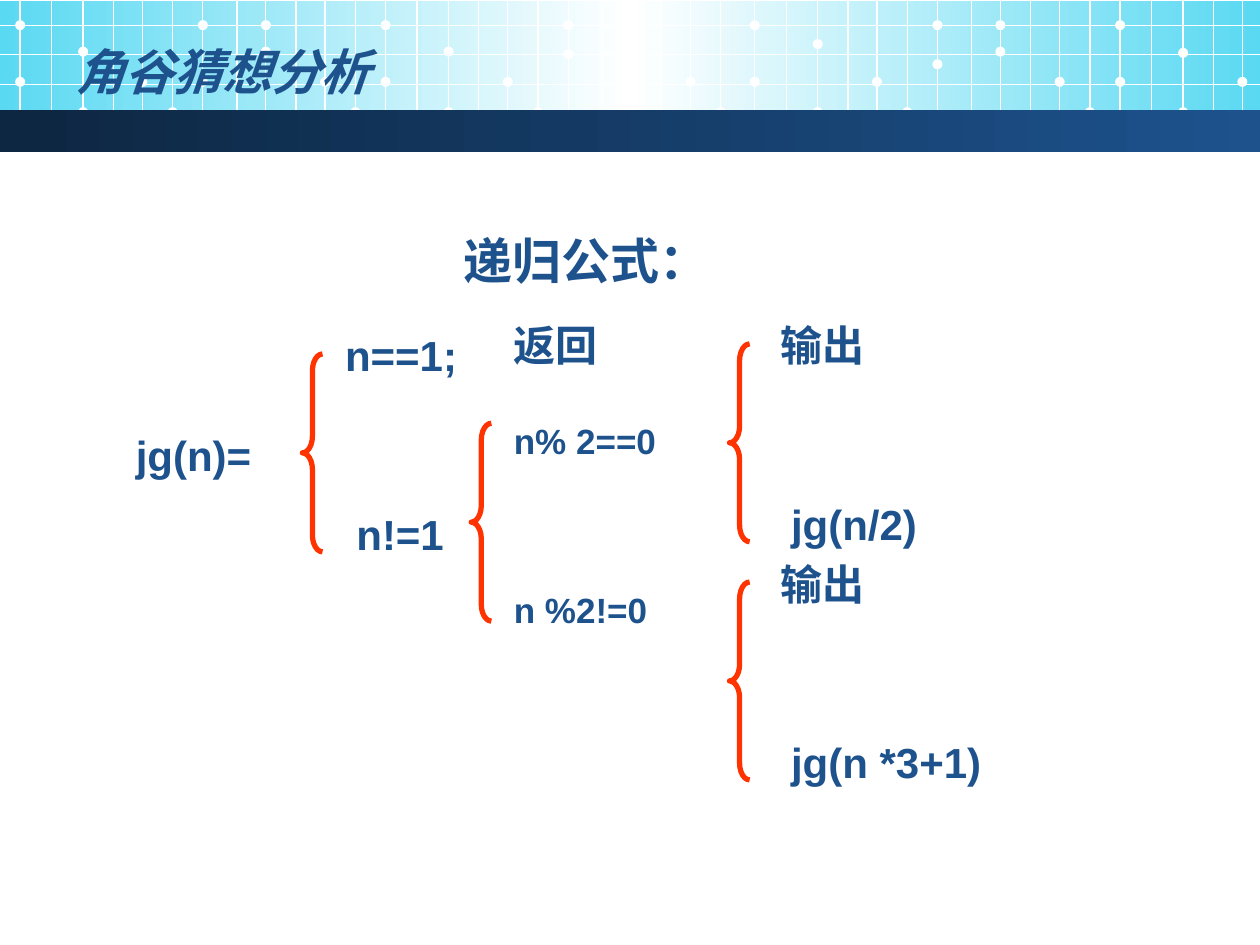
from copy import deepcopy
from dataclasses import dataclass

from lxml import etree
from pptx import Presentation, util as u
from pptx.dml.color import RGBColor
from pptx.enum import shapes, text
from pptx.oxml.ns import qn


@dataclass(frozen=True)
class Theme:
    ink: str = "1D528D"
    navy: str = "0D2641"
    sky: str = "5AD9F2"
    white: str = "FFFFFF"
    brace: str = "FF3300"
    latin: str = "Arial"
    title_font: str = "DejaVu Sans"
    heading: int = 28
    body: int = 24
    small: int = 20
    hairline: float = 0.75
    brace_line: float = 3


T = Theme()
COLS, ROWS = 100, 75
CELL = u.Inches(10) // COLS

TILE_COLS = (1.6, 4.1, 6.6, 9, 11.3, 13.7, 16.1, 18.8, 21.1, 23.5, 25.8, 28.2)
TILE_ROWS = (2, 4.3, 6.7, 8.9)
TILES = ((0, 4.1, 6.5), (29, 4.1, 4.3), (58.3, 3.5, 5.1), (87.3, 4.2, 6.5))
DOT = 0.8

LABELS = (
    ("递归公式：", 35.8, 17.8, 22.8, 5.7, T.heading),
    ("jg(n)=", 9.8, 33.6, 12.6, 5, T.body),
    ("n==1;", 26.4, 25.7, 11.8, 5, T.body),
    ("n!=1", 27.3, 39.9, 14.8, 5, T.body),
    ("返回", 39.8, 24.9, 9.4, 5, T.body),
    ("n% 2==0", 39.8, 32.8, 16.5, 4.4, T.small),
    ("n %2!=0", 39.8, 46.2, 17.3, 4.4, T.small),
)
BRACES = ((24, 28.1), (37.4, 33.6))
OUTPUTS = (("jg(n/2)", 24.9), ("jg(n *3+1)", 43.8))


def g(cells):
    return round(cells * CELL)


def rgb(color):
    return RGBColor.from_string(color)


def add_preset(s, kind, x, y, w, h):
    sp = s.shapes.add_shape(kind, g(x), g(y), g(w), g(h))
    sp.shadow.inherit = False
    return sp


def add_band(s, y, h, colors):
    sp = add_preset(s, shapes.MSO_SHAPE.RECTANGLE, 0, y, COLS, h)
    sp.line.fill.background()
    sp.fill.gradient()
    sp.fill.gradient_angle = 0
    stops = sp._element.spPr.find(".//" + qn("a:gsLst"))
    for _ in colors[2:]:
        stops.append(deepcopy(stops[0]))
    for i, (stop, color) in enumerate(zip(sp.fill.gradient_stops, colors)):
        stop.position = i / (len(colors) - 1)
        stop.color.rgb = rgb(color)


def add_dot(s, x, y):
    sp = add_preset(s, shapes.MSO_SHAPE.OVAL, x - DOT / 2, y - DOT / 2, DOT, DOT)
    sp.fill.solid()
    sp.fill.fore_color.rgb = rgb(T.white)
    sp.line.fill.background()


def add_line(s, x1, y1, x2, y2):
    c = s.shapes.add_connector(shapes.MSO_CONNECTOR.STRAIGHT, g(x1), g(y1), g(x2), g(y2))
    c.line.color.rgb = rgb(T.white)
    c.line.width = u.Pt(T.hairline)
    etree.SubElement(c._element.spPr, qn("a:effectLst"))


def add_tile(s, left, low, mid):
    dots = ((0, 6.5), (0, 2), (2, low), (2, 8.9), (4, 6.5), (5, 8.9),
            (6, mid), (6, 2), (8, 4.1), (8, 2), (10, 6.5), (11, 8.9))
    for x in TILE_COLS:
        if left + x < COLS:
            add_line(s, left + x, 0, left + x, 11)
    for col, y in dots:
        x = left + TILE_COLS[col]
        if x < COLS:
            add_dot(s, x, y)


def add_header(s):
    add_band(s, 0.1, 10.2, (T.sky, T.white, T.sky))
    for tile in TILES:
        add_tile(s, *tile)
    for y in TILE_ROWS:
        add_line(s, 0, y, COLS, y)
    add_band(s, 8.75, 3.3, (T.navy, T.ink))


def add_label(s, words, x, y, w, h, size, font=T.latin):
    tf = s.shapes.add_textbox(g(x), g(y), g(w), g(h)).text_frame
    tf.word_wrap = True
    p = tf.paragraphs[0]
    p.text = words
    p.font.name = font
    p.font.size = u.Pt(size)
    p.font.bold = True
    p.font.color.rgb = rgb(T.ink)
    return tf


def add_title(s, words):
    tf = add_label(s, words, 5, 2.5, 80.8, 6.2, T.heading, T.title_font)
    tf.vertical_anchor = text.MSO_ANCHOR.MIDDLE
    tf.paragraphs[0].font.italic = True


def add_brace(s, x, y):
    sp = add_preset(s, shapes.MSO_SHAPE.LEFT_BRACE, x, y, 1.6, 15.7)
    sp.adjustments[0] = 0.83
    sp.fill.background()
    sp.line.color.rgb = rgb(T.brace)
    sp.line.width = u.Pt(T.brace_line)


def add_output(s, call, y):
    add_brace(s, 57.9, y + 2.4)
    add_label(s, "输出", 61, y, 15.7, 5, T.body)
    add_label(s, call, 61.8, y + 14.2, 23.6, 5, T.body)


def main():
    prs = Presentation()
    prs.slide_width, prs.slide_height = g(COLS), g(ROWS)
    s = prs.slides.add_slide(prs.slide_layouts[6])
    add_header(s)
    add_title(s, "角谷猜想分析")
    for label in LABELS:
        add_label(s, *label)
    for brace in BRACES:
        add_brace(s, *brace)
    for output in OUTPUTS:
        add_output(s, *output)
    prs.save("out.pptx")


if __name__ == "__main__":
    main()
